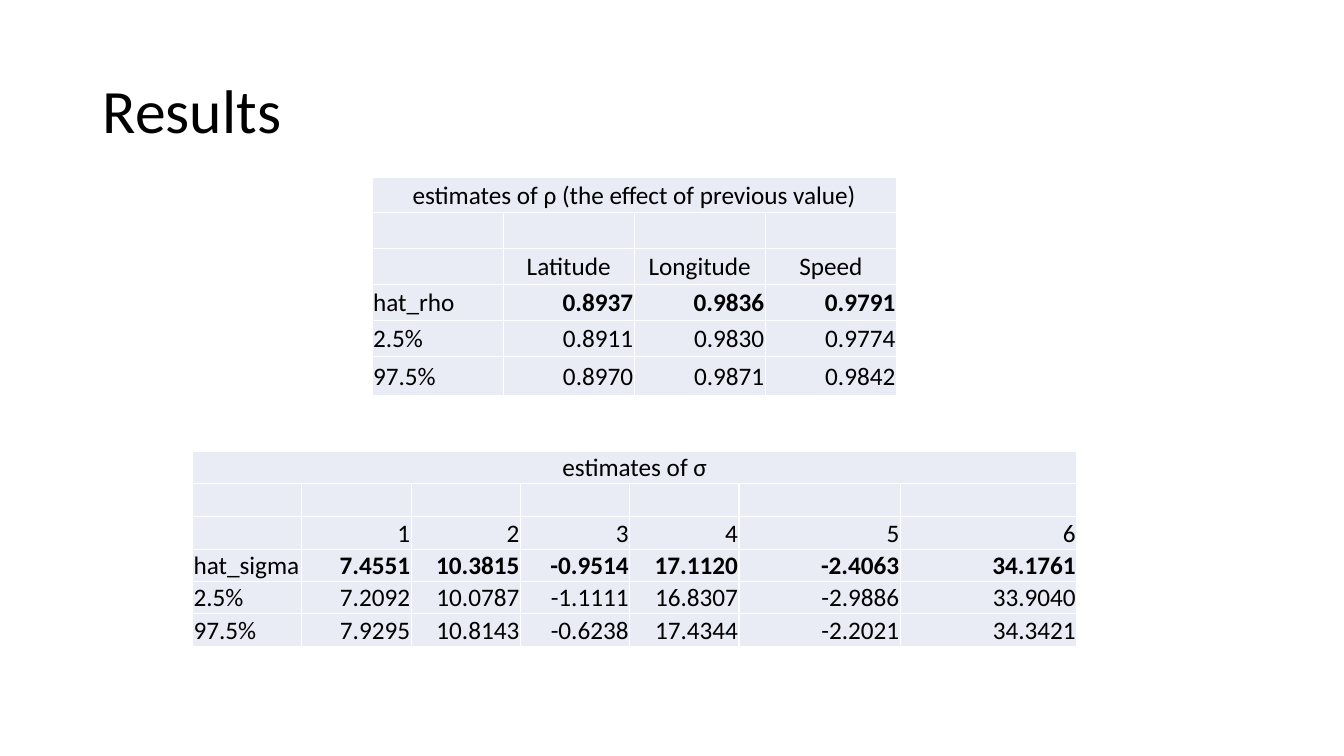
from lxml.etree import SubElement
from pptx import Presentation
from pptx.dml.color import RGBColor
from pptx.enum.text import MSO_ANCHOR, PP_ALIGN
from pptx.oxml.ns import qn
from pptx.util import Inches, Pt

BLACK = RGBColor(0x00, 0x00, 0x00)
WHITE = RGBColor(0xFF, 0xFF, 0xFF)
PALE_BLUE = RGBColor(0xE9, 0xEB, 0xF5)
FONT = "Calibri"


def style_cell(cell):
    """Give a cell tight margins, thin white borders and a pale fill."""
    cell.margin_left = cell.margin_right = cell.margin_top = Inches(0.01)
    cell.margin_bottom = 0
    cell.vertical_anchor = MSO_ANCHOR.MIDDLE
    properties = cell._tc.get_or_add_tcPr()
    for side in ("a:lnL", "a:lnR", "a:lnT", "a:lnB"):
        border = SubElement(properties, qn(side), w=str(Pt(1)))
        line_fill = SubElement(border, qn("a:solidFill"))
        SubElement(line_fill, qn("a:srgbClr"), val=str(WHITE))
    cell.fill.solid()
    cell.fill.fore_color.rgb = PALE_BLUE


def add_estimates(slide, left, top, widths, heights, caption, header_align, rows):
    """Add a table: merged caption, empty row, header row, estimate, two bounds."""
    grid = [[caption], [], *rows]
    table = slide.shapes.add_table(
        len(heights), len(widths), Inches(left), Inches(top),
        Inches(sum(widths)), Inches(sum(heights))).table
    table.first_row = table.horz_banding = False
    for column, width in zip(table.columns, widths):
        column.width = Inches(width)
    for row, height in zip(table.rows, heights):
        row.height = Inches(height)
    table.cell(0, 0).merge(table.cell(0, len(widths) - 1))

    for r, texts in enumerate(grid):
        for c in range(len(widths)):
            cell = table.cell(r, c)
            style_cell(cell)
            if c < len(texts):
                cell.text = texts[c]
            paragraph = cell.text_frame.paragraphs[0]
            paragraph.font.name = FONT
            paragraph.font.size = Pt(18)
            paragraph.font.color.rgb = BLACK
            paragraph.font.bold = r == 3 and c > 0
            if r == 0:
                paragraph.alignment = PP_ALIGN.CENTER
            elif c == 0:
                paragraph.alignment = PP_ALIGN.LEFT
            else:
                paragraph.alignment = header_align if r == 2 else PP_ALIGN.RIGHT


presentation = Presentation()
presentation.slide_width = Inches(13.33)
presentation.slide_height = Inches(7.5)
slide = presentation.slides.add_slide(presentation.slide_layouts[5])

# Title
title = slide.shapes.title
title.left, title.top = Inches(0.92), Inches(0.4)
title.width, title.height = Inches(11.5), Inches(1.45)
title.text = "Results"
title.text_frame.vertical_anchor = MSO_ANCHOR.MIDDLE
heading = title.text_frame.paragraphs[0]
heading.alignment = PP_ALIGN.LEFT
heading.line_spacing = 0.9
heading.font.name = FONT
heading.font.size = Pt(44)
heading.font.color.rgb = BLACK

# Estimates of rho
add_estimates(
    slide, 3.69, 1.76, [1.3] * 4, [0.35] + [1.43 / 4] * 4 + [0.38],
    "estimates of ρ (the effect of previous value)", PP_ALIGN.CENTER,
    [["", "Latitude", "Longitude", "Speed"],
     ["hat_rho", "0.8937", "0.9836", "0.9791"],
     ["2.5%", "0.8911", "0.9830", "0.9774"],
     ["97.5%", "0.8970", "0.9871", "0.9842"]])

# Estimates of sigma
add_estimates(
    slide, 1.91, 4.48, [5.42 / 5] * 5 + [1.6, 1.75], [0.31, 0.33, 0.33] + [0.31] * 2 + [0.33],
    "estimates of σ", PP_ALIGN.RIGHT,
    [["", "1", "2", "3", "4", "5", "6"],
     ["hat_sigma", "7.4551", "10.3815", "-0.9514", "17.1120", "-2.4063", "34.1761"],
     ["2.5%", "7.2092", "10.0787", "-1.1111", "16.8307", "-2.9886", "33.9040"],
     ["97.5%", "7.9295", "10.8143", "-0.6238", "17.4344", "-2.2021", "34.3421"]])

presentation.save("out.pptx")
